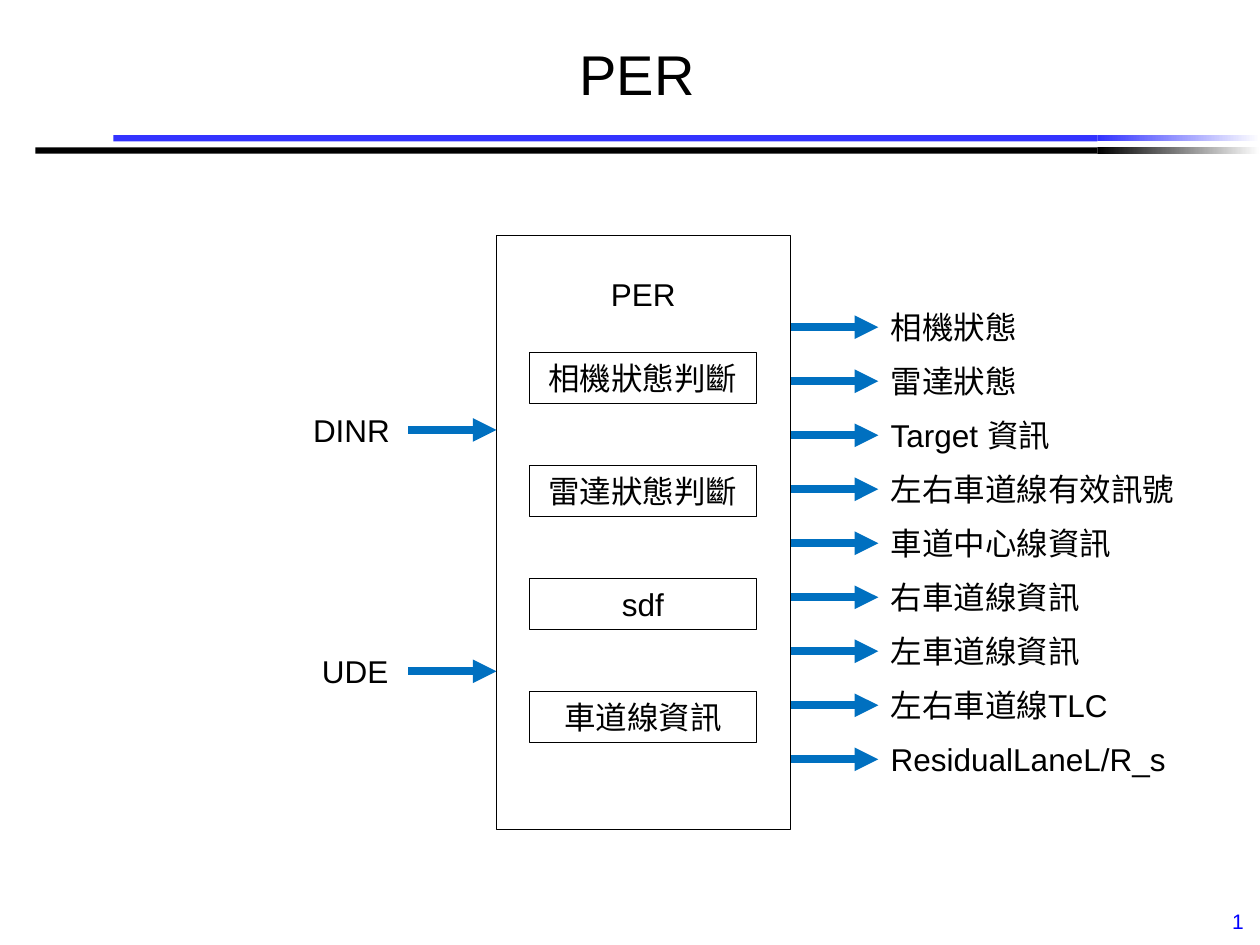
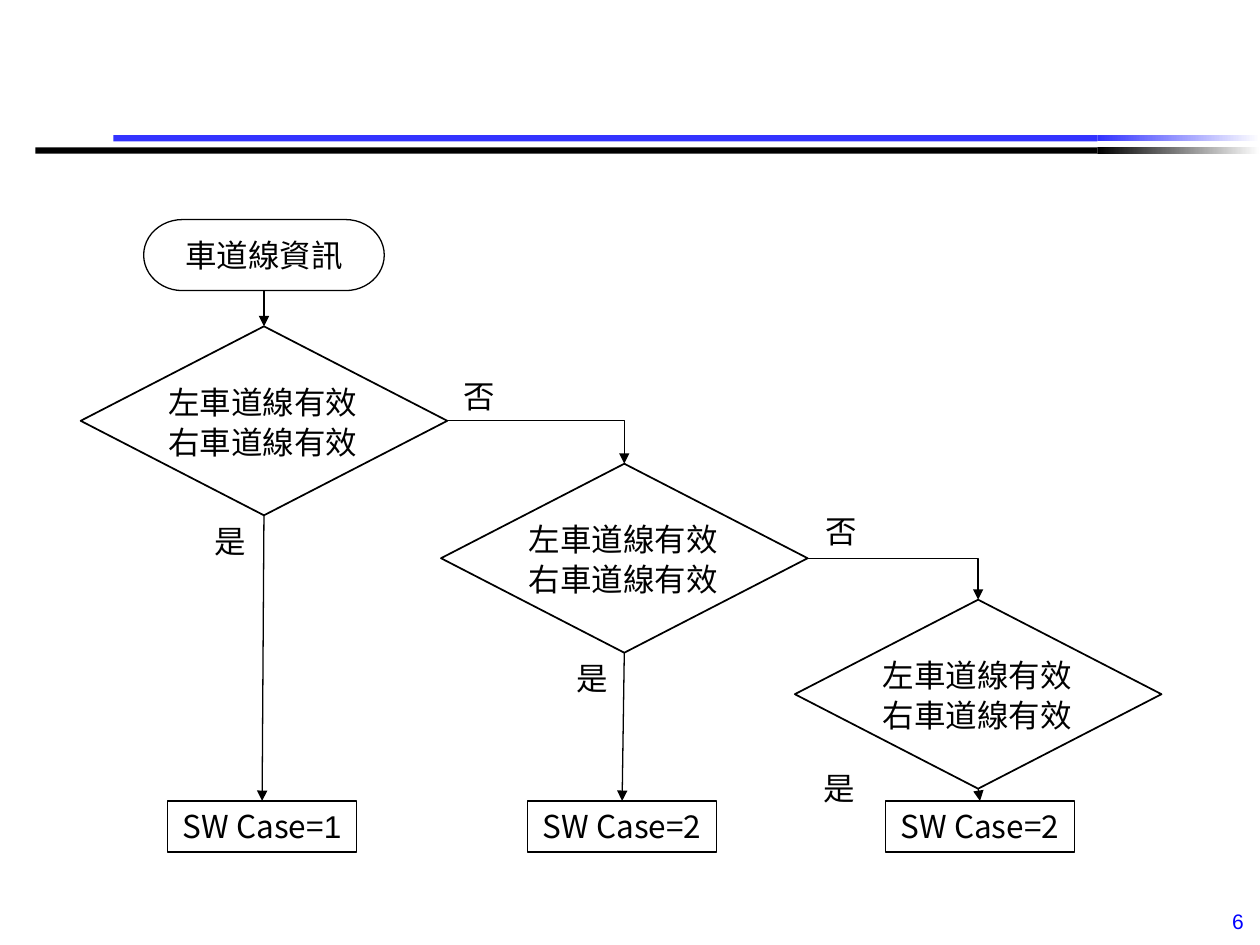
from dataclasses import dataclass

from lxml.etree import SubElement
from pptx import Presentation
from pptx.dml.color import RGBColor
from pptx.enum.shapes import MSO_CONNECTOR as CONN, MSO_SHAPE as SHAPE
from pptx.enum.text import MSO_ANCHOR as ANCHOR, MSO_AUTO_SIZE as AUTO, PP_ALIGN as ALIGN
from pptx.oxml.ns import qn
from pptx.util import Pt


@dataclass(frozen=True)
class Theme:
    black: str = "000000"
    white: str = "FFFFFF"
    blue: str = "3333FF"
    page_blue: str = "0000FF"
    arrow_blue: str = "0070C0"
    font: str = "Arial"
    cjk_font: str = "Noto Sans CJK SC"
    title_size: float = 32
    body_size: float = 18
    page_size: float = 12
    thin: float = 0.75
    thick: float = 4.5


@dataclass(frozen=True)
class Box:
    """A place on the slide, in points."""
    x: float
    y: float
    w: float
    h: float

    @property
    def cx(self) -> float:
        return self.x + self.w / 2

    @property
    def right(self) -> float:
        return self.x + self.w

    @property
    def bottom(self) -> float:
        return self.y + self.h

    def lengths(self) -> tuple:
        return tuple(Pt(v) for v in (self.x, self.y, self.w, self.h))


@dataclass(frozen=True)
class Step:
    """One decision of the flow and the case it leads to."""
    x: float
    y: float
    case_x: float
    case: str
    yes: tuple[float, float]
    no: tuple[float, float] | None = None


T = Theme()
LINE_H = 28.8


def rgb(value: str) -> RGBColor:
    return RGBColor.from_string(value)


# Drawing helpers
def style_text(p, size=T.body_size, color=T.black, align=ALIGN.CENTER):
    p.alignment = align
    p.font.name, p.font.size = T.font, Pt(size)
    p.font.color.rgb = rgb(color)


def add_text(shapes, box: Box, text: str, wrap=True, grow=True, **style):
    sp = shapes.add_textbox(*box.lengths())
    tf = sp.text_frame
    tf.text = text
    tf.word_wrap = wrap
    tf.auto_size = AUTO.SHAPE_TO_FIT_TEXT if grow else AUTO.NONE
    style_text(tf.paragraphs[0], **style)
    return sp


def add_box(shapes, kind, box: Box, fill: str | None = None,
            line: float | None = None):
    sp = shapes.add_shape(kind, *box.lengths())
    sp.shadow.inherit = False
    if fill:
        sp.fill.solid()
        sp.fill.fore_color.rgb = rgb(fill)
    else:
        sp.fill.background()
    if line:
        sp.line.color.rgb = rgb(T.black)
        sp.line.width = Pt(line)
    else:
        sp.line.fill.background()
    return sp


def add_fade(shapes, box: Box, start: str, end: str):
    sp = add_box(shapes, SHAPE.RECTANGLE, box)
    sp.fill.gradient()
    sp.fill.gradient_angle = 0
    for stop, color in zip(sp.fill.gradient_stops, (start, end)):
        stop.color.rgb = rgb(color)
    return sp


def add_arrow(shapes, x1: float, y1: float, x2: float, y2: float,
              color=T.black, width=T.thin, bent=False):
    kind = CONN.ELBOW if bent else CONN.STRAIGHT
    c = shapes.add_connector(kind, Pt(x1), Pt(y1), Pt(x2), Pt(y2))
    c.line.color.rgb = rgb(color)
    c.line.width = Pt(width)
    sp_pr = c.element.spPr
    SubElement(sp_pr.find(qn("a:ln")), qn("a:tailEnd")).set("type", "triangle")
    SubElement(sp_pr, qn("a:effectLst"))
    if bent:  # one corner: across, then down
        sp_pr.find(qn("a:prstGeom")).set("prst", "bentConnector2")


# Shared parts
def draw_master(prs, slide):
    """Draw the header rules once and move them to the slide master."""
    shapes = slide.shapes
    rules = []
    for left, top, color in ((64.8, 77.2, T.blue), (20.2, 84.2, T.black)):
        rules += [
            add_fade(shapes, Box(627.1, top, 92.9, 3.6), color, T.white),
            add_box(shapes, SHAPE.RECTANGLE,
                    Box(left, top, 627.1 - left, 3.6), color),
        ]
    for sp in rules:
        prs.slide_master.shapes.element.append(sp.element)


def add_page_number(slide, number: int):
    sp = add_text(slide.shapes, Box(550.1, 514.4, 167.8, 23.8), str(number),
                  grow=False, size=T.page_size, color=T.page_blue,
                  align=ALIGN.RIGHT)
    sp.text_frame.vertical_anchor = ANCHOR.MIDDLE


def set_title(slide, text: str):
    title = slide.shapes.title
    title.left, title.top, title.width, title.height = Box(82.1, 8.8, 563.8, 65.5).lengths()
    tf = title.text_frame
    tf.text = text
    tf.vertical_anchor = ANCHOR.MIDDLE
    style_text(tf.paragraphs[0], size=T.title_size)


# Slide 1: inputs, module and outputs
OUTPUTS = ("相機狀態", "雷達狀態", "Target 資訊", "左右車道線有效訊號", "車道中心線資訊",
           "右車道線資訊", "左車道線資訊", "左右車道線TLC", "ResidualLaneL/R_s")
PARTS = ("相機狀態判斷", "雷達狀態判斷", "sdf", "車道線資訊")


def draw_module(slide):
    shapes = slide.shapes
    module = Box(283.7, 134.6, 167.8, 339.1)
    flow = dict(color=T.arrow_blue, width=T.thick)

    for name, x, y in (("DINR", 168.5, 245.7), ("UDE", 170.6, 383.6)):
        add_text(shapes, Box(x, y - 14.6, 64.8, LINE_H), name)
        add_arrow(shapes, 233.3, y, module.x, y, **flow)

    for i, name in enumerate(OUTPUTS):
        y = 187 + i * 30.86
        add_arrow(shapes, module.right, y, 501.9, y, **flow)
        add_text(shapes, Box(501.9, y - 14.6, 180.7, LINE_H), name,
                 align=ALIGN.LEFT)

    add_box(shapes, SHAPE.RECTANGLE, module, T.white, 0.25)
    add_text(shapes, Box(342, 153.6, 51.8, LINE_H), "PER", wrap=False,
             align=ALIGN.LEFT)
    for i, name in enumerate(PARTS):
        box = Box(302.5, 201.5 + i * 64.57, 129.8, 29.1)
        add_box(shapes, SHAPE.RECTANGLE, box, line=T.thin)
        add_text(shapes, box, name)


# Slide 2: lane line decisions
CASE_Y = 457.7
STEPS = (
    Step(46.1, 186.5, 95.8, "1", (112.3, 294.5), (254.6, 211.7)),
    Step(252, 265, 301.5, "2", (319, 373), (461.5, 289.2)),
    Step(454.2, 342.7, 506, "2", (460.1, 436.1)),
)


def decision_box(step: Step) -> Box:
    return Box(step.x, step.y, 209.5, 108)


def draw_decision(slide, box: Box):
    group = slide.shapes.add_group_shape().shapes
    add_box(group, SHAPE.FLOWCHART_DECISION, box, line=1)
    for i, side in enumerate("左右"):
        add_text(group, Box(box.x + 40.5, box.y + 28.8 + i * 22.8, 127.4, LINE_H),
                 f"{side}車道線有效")


def draw_case(slide, box: Box, number: str):
    group = slide.shapes.add_group_shape().shapes
    add_box(group, SHAPE.FLOWCHART_PROCESS, box, line=T.thin)
    sp = add_text(group, Box(box.x - 9, box.y, box.w + 18, box.h), "SW Case=")
    p = sp.text_frame.paragraphs[0]
    p.runs[0].font.name = T.cjk_font
    r = p.add_run()
    r.text = number
    r.font.name = T.font if number == "1" else T.cjk_font


def draw_flow(slide):
    shapes = slide.shapes
    start = Box(82.1, 125.5, 137.5, 40.6)
    group = shapes.add_group_shape().shapes
    add_box(group, SHAPE.FLOWCHART_TERMINATOR, start, line=T.thin)
    add_text(group, Box(start.cx - 54, 131.2, 108, LINE_H), "車道線資訊")
    add_arrow(shapes, start.cx, start.bottom, start.cx, STEPS[0].y)

    for i, step in enumerate(STEPS):
        box, case = decision_box(step), Box(step.case_x, CASE_Y, 108, 29.1)
        draw_decision(slide, box)
        draw_case(slide, case, step.case)
        add_arrow(shapes, box.cx, box.bottom, case.cx, case.y)
        add_text(shapes, Box(*step.yes, 38.9, LINE_H), "是")
        if step.no:
            target = decision_box(STEPS[i + 1])
            add_arrow(shapes, box.right, box.y + box.h / 2, target.cx, target.y,
                      bent=True)
            add_text(shapes, Box(*step.no, 38.9, LINE_H), "否")


def main():
    prs = Presentation()
    prs.slide_width, prs.slide_height = Pt(720), Pt(540)
    title_only, blank = prs.slide_layouts[5], prs.slide_layouts[6]

    s = prs.slides.add_slide(title_only)
    draw_master(prs, s)
    set_title(s, "PER")
    add_page_number(s, 1)
    draw_module(s)

    s = prs.slides.add_slide(blank)
    add_page_number(s, 6)
    draw_flow(s)

    prs.save("out.pptx")


main()
